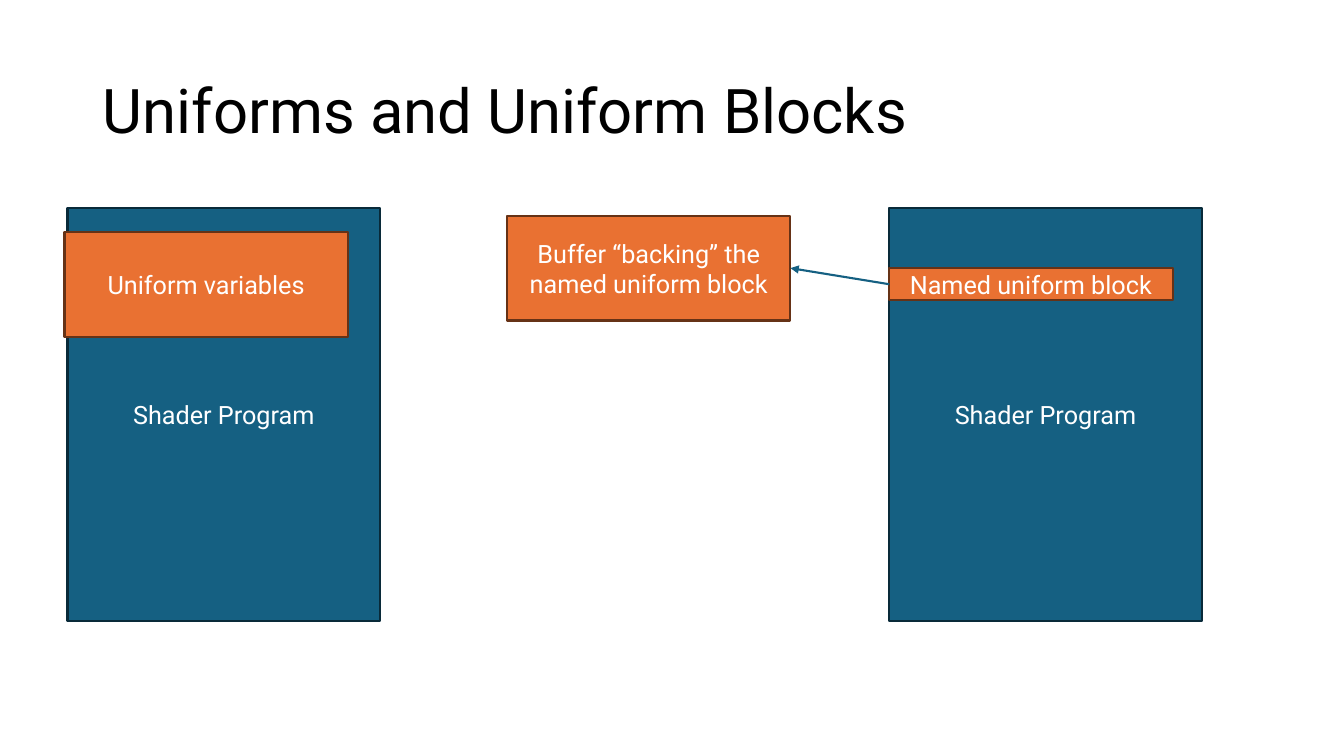
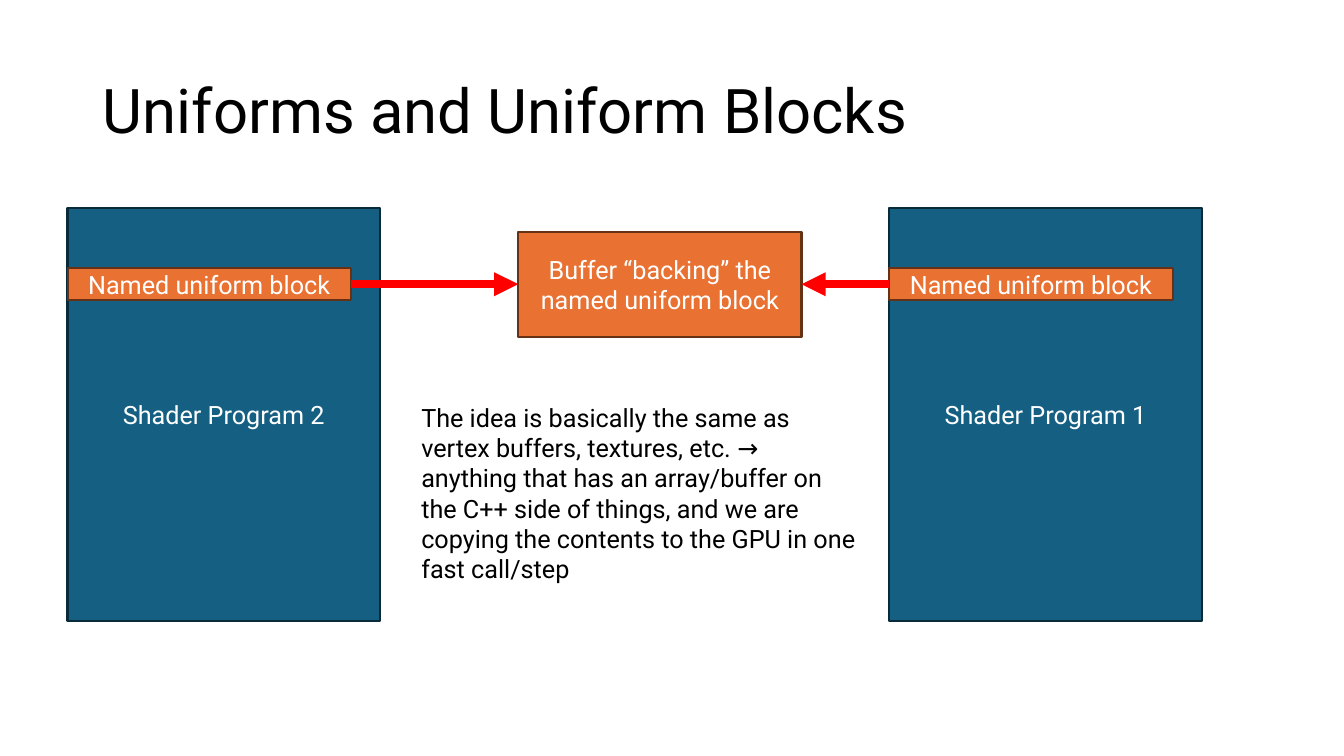
from pptx import Presentation
from pptx.dml.color import RGBColor
from pptx.enum.shapes import MSO_CONNECTOR, MSO_SHAPE
from pptx.enum.text import MSO_ANCHOR, MSO_AUTO_SIZE, PP_ALIGN
from pptx.oxml.ns import qn
from pptx.util import Inches, Pt
from lxml import etree

FONT = "Roboto"
COLORS = {"program": "156082", "program_line": "092A39",
          "block": "E97132", "block_line": "663216",
          "link": "FF0000", "white": "FFFFFF", "black": "000000"}
TITLE = "Uniforms and Uniform Blocks"
BUFFER = "Buffer “backing” the named uniform block"
NAMED = "Named uniform block"
NOTE = ("The idea is basically the same as vertex buffers, textures, etc. → "
        "anything that has an array/buffer on the C++ side of things, and we are "
        "copying the contents to the GPU in one fast call/step")

LEFT_X, RIGHT_X = 0.67, 8.82
PROGRAM_Y, NAMED_Y = 2.06, 2.66
SIZES = {"program": (3.1, 4.1), "block": (2.81, 1.04), "named": (2.81, 0.32)}
TOP, LEFT, BOTTOM, RIGHT = range(4)

SLIDES = [
    {"boxes": [
        ("program", "program", "Shader Program", LEFT_X, PROGRAM_Y),
        ("variables", "block", "Uniform variables", 0.64, 2.3),
        ("program", "program", "Shader Program", RIGHT_X, PROGRAM_Y),
        ("buffer", "block", BUFFER, 5.03, 2.14),
        ("named", "named", NAMED, RIGHT_X, NAMED_Y)],
     "arrows": [("named", LEFT, "buffer", RIGHT)],
     "arrow_style": ("program", 1.5)},
    {"boxes": [
        ("program 2", "program", "Shader Program 2", LEFT_X, PROGRAM_Y),
        ("program 1", "program", "Shader Program 1", RIGHT_X, PROGRAM_Y),
        ("buffer", "block", BUFFER, 5.14, 2.3),
        ("named 1", "named", NAMED, RIGHT_X, NAMED_Y),
        ("named 2", "named", NAMED, LEFT_X, NAMED_Y)],
     "arrows": [("named 1", LEFT, "buffer", RIGHT),
                ("named 2", RIGHT, "buffer", LEFT)],
     "arrow_style": ("link", 5.75),
     "note": (NOTE, 4.08, 3.94, 4.55, 1.62)},
]


def rgb(name):
    return RGBColor.from_string(COLORS[name])


def write(tf, text, size, color, align, anchor):
    tf.word_wrap = True
    tf.vertical_anchor = anchor
    p = tf.paragraphs[0]
    p.alignment = align
    r = p.add_run()
    r.text = text
    r.font.name = FONT
    r.font.size = Pt(size)
    r.font.color.rgb = rgb(color)
    return p


def add_title(s):
    sp = s.shapes.title
    sp.left, sp.top, sp.width, sp.height = map(Inches, (0.92, 0.4, 11.5, 1.45))
    sp.text_frame.auto_size = MSO_AUTO_SIZE.NONE
    p = write(sp.text_frame, TITLE, 44, "black", PP_ALIGN.LEFT, MSO_ANCHOR.MIDDLE)
    p.line_spacing = 0.9


def add_box(s, kind, text, x, y):
    sp = s.shapes.add_shape(MSO_SHAPE.RECTANGLE, *map(Inches, (x, y, *SIZES[kind])))
    color = "program" if kind == "program" else "block"
    sp.shadow.inherit = False
    sp.fill.solid()
    sp.fill.fore_color.rgb = rgb(color)
    sp.line.color.rgb = rgb(color + "_line")
    sp.line.width = Pt(1.5)
    write(sp.text_frame, text, 18, "white", PP_ALIGN.CENTER, MSO_ANCHOR.MIDDLE)
    return sp


def add_arrow(s, start, start_side, end, end_side, color, width):
    line = s.shapes.add_connector(MSO_CONNECTOR.STRAIGHT, 0, 0, 0, 0)
    line.begin_connect(start, start_side)
    line.end_connect(end, end_side)
    line.line.color.rgb = rgb(color)
    line.line.width = Pt(width)
    props = line._element.spPr
    etree.SubElement(props.find(qn("a:ln")), qn("a:tailEnd"), type="triangle")
    etree.SubElement(props, qn("a:effectLst"))


def add_note(s, text, *place):
    tf = s.shapes.add_textbox(*map(Inches, place)).text_frame
    write(tf, text, 18, "black", PP_ALIGN.LEFT, MSO_ANCHOR.TOP)
    tf.auto_size = MSO_AUTO_SIZE.SHAPE_TO_FIT_TEXT


def main():
    prs = Presentation()
    prs.slide_width, prs.slide_height = Inches(13.33), Inches(7.5)
    for content in SLIDES:
        s = prs.slides.add_slide(prs.slide_layouts[5])
        add_title(s)
        boxes = {name: add_box(s, *box) for name, *box in content["boxes"]}
        for start, start_side, end, end_side in content["arrows"]:
            add_arrow(s, boxes[start], start_side, boxes[end], end_side,
                      *content["arrow_style"])
        if "note" in content:
            add_note(s, *content["note"])
    prs.save("out.pptx")


if __name__ == "__main__":
    main()
